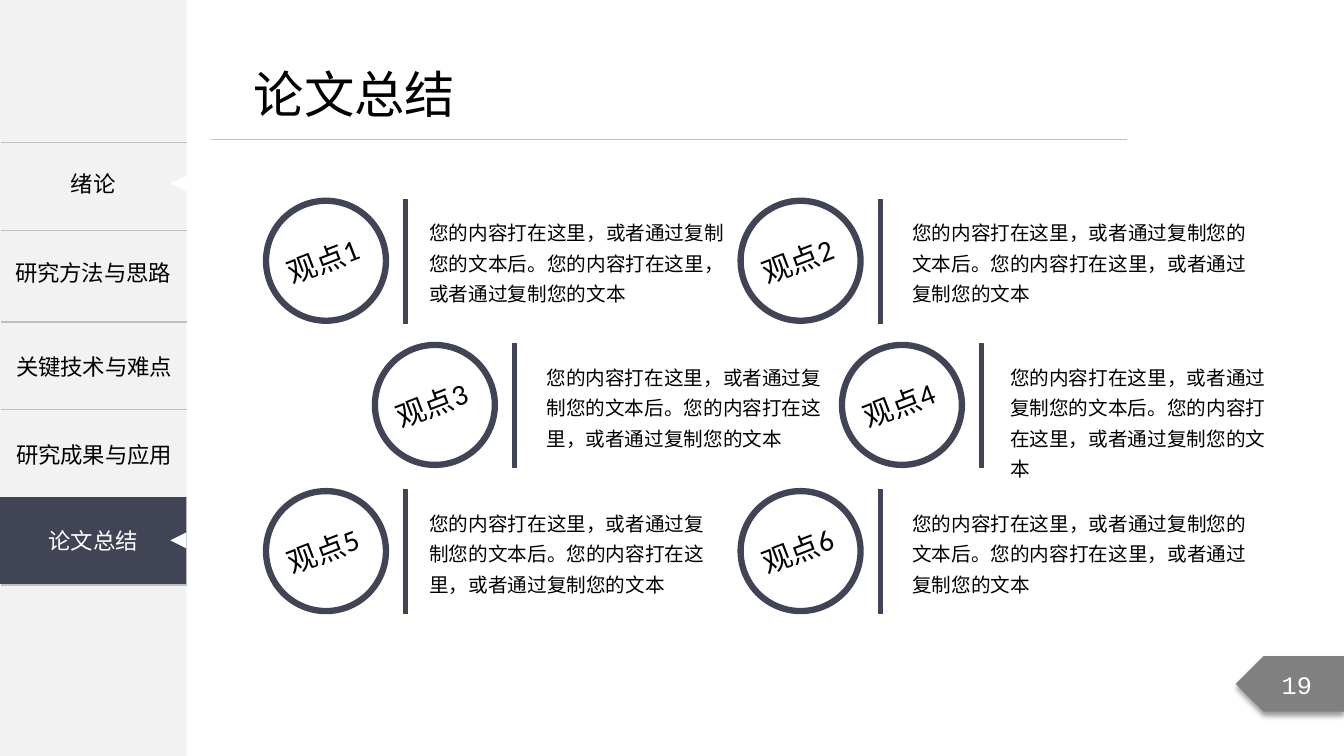
from lxml import etree
from pptx import Presentation
from pptx.dml.color import RGBColor
from pptx.enum.shapes import MSO_CONNECTOR, MSO_SHAPE
from pptx.enum.text import MSO_ANCHOR, PP_ALIGN
from pptx.oxml.ns import qn
from pptx.util import Pt

RECTANGLE, ELLIPSE = MSO_SHAPE.RECTANGLE, MSO_SHAPE.OVAL
TRIANGLE, PENTAGON = MSO_SHAPE.ISOSCELES_TRIANGLE, MSO_SHAPE.PENTAGON
STRAIGHT = MSO_CONNECTOR.STRAIGHT
MIDDLE, TOP = MSO_ANCHOR.MIDDLE, MSO_ANCHOR.TOP
LEFT, CENTER = PP_ALIGN.LEFT, PP_ALIGN.CENTER

COLORS = {"panel": "F2F2F2", "rule": "BFBFBF", "navy": "414455",
          "gray": "808080", "white": "FFFFFF", "black": "000000"}
CHINESE = "Noto Sans CJK SC"
BODY = "您的内容打在这里，或者通过复制您的文本后。您的内容打在这里，或者通过复制您的文本"
ROW_TOPS = (142.6, 245.6, 350)
VIEWPOINTS = [
    ("观点1", 190, 0, 300.2, 229),
    ("观点2", 529, 0, 645.1, 264.2),
    ("观点3", 267.8, 1, 383.8, 211.7),
    ("观点4", 601.4, 1, 715, 208.8),
    ("观点5", 190, 2, 300.2, 216),
    ("观点6", 529, 2, 645.1, 264.2),
]


def color(name):
    """Return the named colour."""
    return RGBColor.from_string(COLORS[name])


def add_text(frame, text, size, ink="black", font=CHINESE, align=CENTER, anchor=MIDDLE):
    """Write one run into a text frame or a table cell's frame."""
    frame.vertical_anchor = anchor
    para = frame.paragraphs[0]
    para.alignment = align
    span = para.add_run()
    span.text = text
    span.font.size = Pt(size)
    span.font.name = font
    span.font.color.rgb = color(ink)
    etree.SubElement(span.font._element, qn("a:ea"), typeface=CHINESE)
    return para


def add_shape(page, kind, left, top, width, height, fill, line=None, weight=0.75):
    """Add a filled preset shape without a shadow."""
    shape = page.shapes.add_shape(kind, Pt(left), Pt(top), Pt(width), Pt(height))
    shape.shadow.inherit = False
    shape.fill.solid()
    shape.fill.fore_color.rgb = color(fill)
    if line:
        shape.line.color.rgb = color(line)
        shape.line.width = Pt(weight)
    else:
        shape.line.fill.background()
    return shape


def add_box(page, left, top, width, height, wrap=True):
    """Add an empty text box."""
    box = page.shapes.add_textbox(Pt(left), Pt(top), Pt(width), Pt(height))
    box.text_frame.word_wrap = wrap
    return box


def add_header(page, left, top, width):
    """Add the title and the rule below it."""
    box = add_box(page, left + 23.7, top, 160, 51, wrap=False)
    add_text(box.text_frame, "论文总结", 36, align=LEFT, anchor=TOP)
    rule = page.shapes.add_connector(
        STRAIGHT, Pt(left), Pt(top + 58), Pt(left + width), Pt(top + 58))
    rule.line.color.rgb = color("rule")
    rule.line.width = Pt(0.5)
    etree.SubElement(rule._element.spPr, qn("a:effectLst"))


def style_cell(cell):
    """Give a cell thin rules above and below and no fill."""
    properties = cell._tc.get_or_add_tcPr()
    for side in ("lnL", "lnR", "lnT", "lnB"):
        line = etree.SubElement(properties, qn("a:" + side), w=str(Pt(1)))
        if side in ("lnL", "lnR"):
            etree.SubElement(line, qn("a:noFill"))
        else:
            fill = etree.SubElement(line, qn("a:solidFill"))
            etree.SubElement(fill, qn("a:srgbClr"), val=COLORS["rule"])
    cell.fill.background()


def add_pointer(page, right, middle):
    """Add the small white triangle at the right edge of a tab."""
    add_shape(page, TRIANGLE, right - 11.5, middle - 5.75, 11.5, 11.5, "white").rotation = 270


def add_sidebar(page, left, top, width, height):
    """Add the navigation panel with its five tabs."""
    add_shape(page, RECTANGLE, left, top, width, height, "panel")
    table = page.shapes.add_table(
        5, 1, Pt(left + 0.7), Pt(top + 102), Pt(width), Pt(315)).table
    table.first_row = table.horz_banding = False
    table.columns[0].width = Pt(width)
    for index, row_height in enumerate((62.6, 65.5, 62.6, 62.6, 62.6)):
        table.rows[index].height = Pt(row_height)
        style_cell(table.cell(index, 0))
    for index, name in ((2, "关键技术与难点"), (3, "研究成果与应用")):
        cell = table.cell(index, 0)
        cell.vertical_anchor = MIDDLE
        add_text(cell.text_frame, name, 16)
    for offset, name in ((100, "绪论"), (163.5, "研究方法与思路")):
        box = add_box(page, left, top + offset, width, 62)
        add_text(box.text_frame, name, 16)
    add_pointer(page, left + width, top + 131)
    current = add_shape(page, RECTANGLE, left, top + 355, width, 62, "navy")
    add_text(current.text_frame, "论文总结", 16, "white")
    add_pointer(page, left + width, top + 386)


def add_viewpoint(page, name, left, top, text_left, text_width):
    """Add a ringed label, its bar and its paragraph."""
    add_shape(page, ELLIPSE, left, top + 0.8, 85.7, 85.7, "white", "navy", 4.5)
    label = add_box(page, left - 3.3, top + 27.2, 87.8, 32.4)
    label.rotation = 338.9
    add_text(label.text_frame, name, 21, font="Calibri", anchor=TOP)
    add_shape(page, RECTANGLE, left + 98.5, top, 2.9, 88.5, "navy", "navy")
    box = add_box(page, text_left, top + 7.2, text_width, 70.6)
    frame = box.text_frame
    frame.margin_left = frame.margin_right = Pt(6.5)
    frame.margin_top = frame.margin_bottom = Pt(3.2)
    add_text(frame, BODY, 14, align=LEFT, anchor=TOP).line_spacing = 1.3


def add_page_number(page, left, top, width, height):
    """Add the left-pointing page marker with a soft shadow."""
    marker = add_shape(page, PENTAGON, left, top, width, height, "gray")
    properties = marker._element.spPr
    properties.find(qn("a:xfrm")).set("flipH", "1")
    shadow = etree.SubElement(
        properties.find(qn("a:effectLst")), qn("a:outerShdw"),
        blurRad=str(Pt(4)), dist=str(Pt(3)), dir="5400000", rotWithShape="0")
    shade = etree.SubElement(shadow, qn("a:srgbClr"), val=COLORS["black"])
    etree.SubElement(shade, qn("a:alpha"), val="40000")
    add_text(marker.text_frame, "19", 18, "white", "Courier New")


def main():
    """Build the summary slide and save it."""
    deck = Presentation()
    deck.slide_width, deck.slide_height = Pt(960), Pt(540)
    page = deck.slides.add_slide(deck.slide_layouts[6])
    add_sidebar(page, 0, 0, 133.2, 540)
    add_header(page, 150.5, 41.8, 654.5)
    add_page_number(page, 882.7, 468.7, 77.3, 39.6)
    for name, left, row, text_left, text_width in VIEWPOINTS:
        add_viewpoint(page, name, left, ROW_TOPS[row], text_left, text_width)
    deck.save("out.pptx")


if __name__ == "__main__":
    main()
